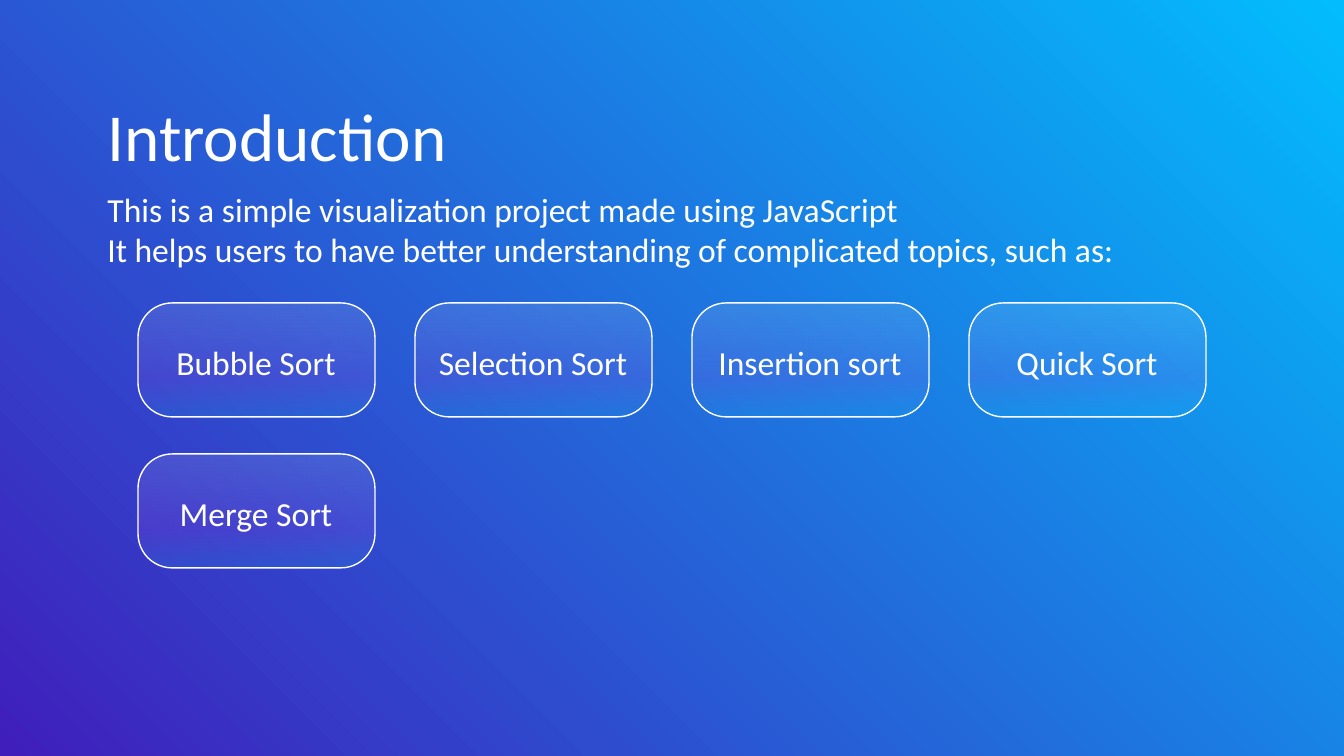
from pptx import Presentation
from pptx import util as u
from pptx.dml.color import RGBColor
from pptx.enum import shapes, text
from pptx.oxml import ns
from lxml import etree

PX = 9144000 / 1344
WHITE = RGBColor(0xFF, 0xFF, 0xFF)
INDIGO = RGBColor(0x40, 0x1E, 0xBB)
SKY = RGBColor(0x02, 0xBC, 0xFD)
MAGENTA = RGBColor(0xE3, 0x54, 0xF7)
CYAN = RGBColor(0x10, 0xEC, 0xFF)

INTRO = [
    "This is a simple visualization project made using JavaScript",
    "It helps users to have better understanding of complicated topics, such as:",
]
SORTS = ["Bubble Sort", "Selection Sort", "Insertion sort", "Quick Sort", "Merge Sort"]
COLUMNS = 4
LEFT, TOP = 138, 303
CARD_W, CARD_H = 237, 114
PITCH_X, PITCH_Y = 277, 151


def emu(px):
    return u.Emu(round(px * PX))


class Deck:
    font = "Calibri"
    glass = [(0, WHITE, 11), (66, MAGENTA, 11), (100, CYAN, 11)]

    def __init__(self, width, height):
        self.prs = Presentation()
        self.prs.slide_width = emu(width)
        self.prs.slide_height = emu(height)
        self.slide = self.prs.slides.add_slide(self.prs.slide_layouts[1])

    def place(self, item, box):
        for name, px in zip(("left", "top", "width", "height"), box):
            setattr(item, name, emu(px))

    def gradient(self, fill, owner, stops, angle):
        fill.gradient()
        fill.gradient_angle = angle
        ramp = next(owner.iter(ns.qn("a:gsLst")))
        for stop in list(ramp):
            ramp.remove(stop)
        for position, color, opacity in stops:
            stop = etree.SubElement(ramp, ns.qn("a:gs"), pos=str(position * 1000))
            tint = etree.SubElement(stop, ns.qn("a:srgbClr"), val=str(color))
            if opacity < 100:
                etree.SubElement(tint, ns.qn("a:alpha"), val=str(opacity * 1000))

    def background(self, stops, angle):
        self.gradient(self.slide.background.fill, self.slide._element, stops, angle)

    def set_text(self, item, lines, size, anchor, align):
        frame = item.text_frame
        frame_format = {
            "word_wrap": True,
            "auto_size": text.MSO_AUTO_SIZE.NONE,
            "vertical_anchor": anchor,
            "margin_left": u.Inches(0.1),
            "margin_right": u.Inches(0.1),
            "margin_top": u.Inches(0.1),
            "margin_bottom": u.Inches(0.1),
        }
        for name, value in frame_format.items():
            setattr(frame, name, value)
        frame.text = "\n".join(lines)
        for line in frame.paragraphs:
            line_format = {"alignment": align, "space_before": u.Pt(0), "space_after": u.Pt(0)}
            for name, value in line_format.items():
                setattr(line, name, value)
            for run in line.runs:
                run.font.name = self.font
                run.font.size = u.Pt(size)
                run.font.color.rgb = WHITE

    def title(self, words, box):
        heading = self.slide.shapes.title
        self.place(heading, box)
        self.set_text(heading, [words], 36, text.MSO_ANCHOR.TOP, text.PP_ALIGN.LEFT)

    def body(self, lines, box):
        intro = self.slide.placeholders[1]
        self.place(intro, box)
        self.set_text(intro, lines, 18, text.MSO_ANCHOR.BOTTOM, text.PP_ALIGN.LEFT)
        for line in intro.text_frame.paragraphs:
            props = line._p.get_or_add_pPr()
            props.set("marL", "0")
            props.set("indent", "0")
            etree.SubElement(props, ns.qn("a:buNone"))

    def card(self, box):
        panel = self.slide.shapes.add_shape(
            shapes.MSO_SHAPE.ROUNDED_RECTANGLE, *map(emu, box))
        panel.adjustments[0] = 0.3
        panel.shadow.inherit = False
        self.gradient(panel.fill, panel._element, self.glass, 270)
        panel.line.color.rgb = WHITE
        panel.line.width = u.Pt(0.75)

    def label(self, words, box):
        caption = self.slide.shapes.add_textbox(*map(emu, box))
        self.set_text(caption, [words], 18, text.MSO_ANCHOR.BOTTOM, text.PP_ALIGN.CENTER)


def main():
    deck = Deck(1344, 756)
    deck.background([(0, INDIGO, 100), (100, SKY, 100)], 45)
    deck.title("Introduction", (94, 81, 520, 181))
    deck.body(INTRO, (94, 188, 1234, 95))
    for index, sort in enumerate(SORTS):
        row, column = divmod(index, COLUMNS)
        x, y = LEFT + column * PITCH_X, TOP + row * PITCH_Y
        deck.card((x, y, CARD_W, CARD_H))
        deck.label(sort, (x + 3, y + 7, 230, 86))
    deck.prs.save("out.pptx")


if __name__ == "__main__":
    main()
